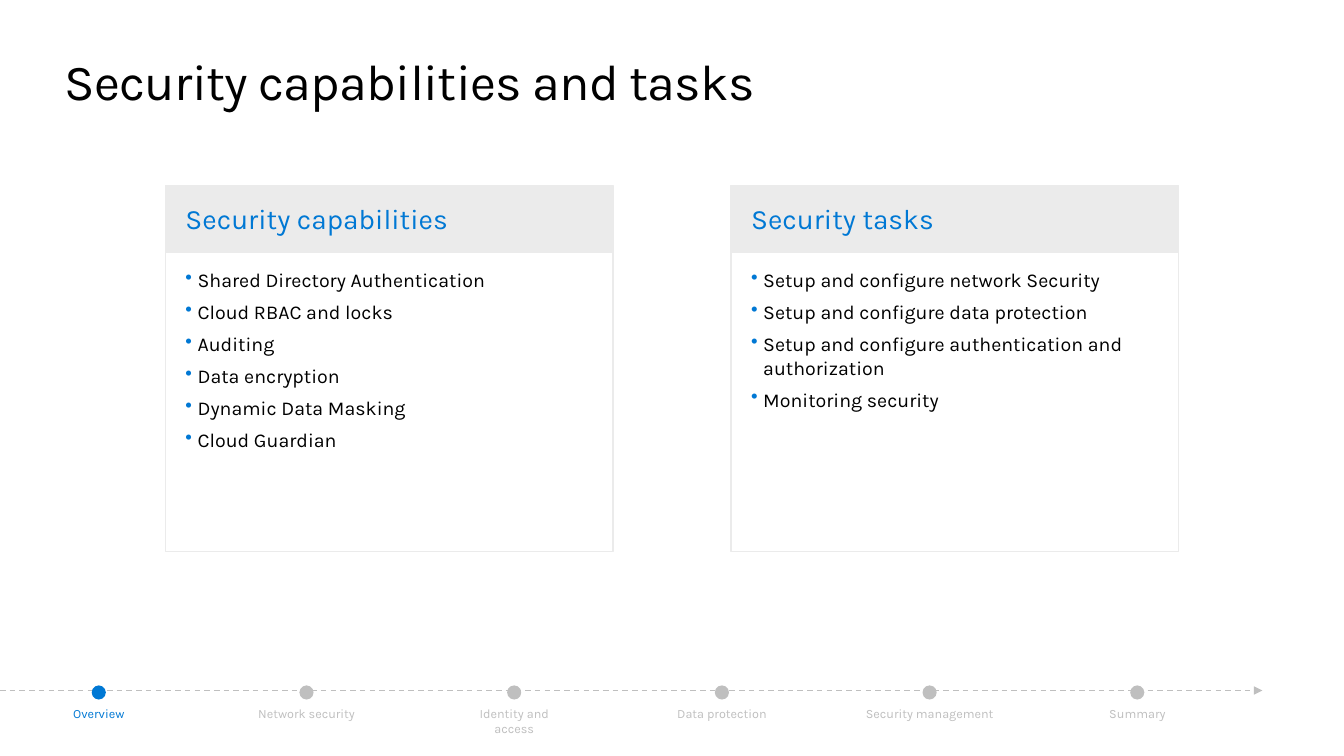
from dataclasses import dataclass

from lxml import etree
from pptx import Presentation, util as u
from pptx.dml.color import RGBColor
from pptx.enum import dml, shapes, text
from pptx.oxml.ns import qn

BLUE, GREY, PALE = "0078D4", "BFBFBF", "EBEBEB"
BLACK, WHITE = "000000", "FFFFFF"
FONT = "Karla"


@dataclass
class Card:
    left: float
    head: str
    items: list[str]


@dataclass
class Step:
    label: str
    width: float = 1.08
    color: str = GREY


CARDS = [
    Card(1.64, "Security capabilities", [
        "Shared Directory Authentication",
        "Cloud RBAC and locks",
        "Auditing",
        "Data encryption",
        "Dynamic Data Masking",
        "Cloud Guardian",
    ]),
    Card(7.25, "Security tasks", [
        "Setup and configure network Security",
        "Setup and configure data protection",
        "Setup and configure authentication and authorization",
        "Monitoring security",
    ]),
]
STEPS = [
    Step("Overview", color=BLUE),
    Step("Network security"),
    Step("Identity and access"),
    Step("Data protection"),
    Step("Security management", 1.94),
    Step("Summary"),
]
FIRST, PITCH, DOT = 0.98, 2.06, 0.14
CARD_W = 4.44


def rgb(code: str) -> RGBColor:
    return RGBColor.from_string(code)


def box(left: float, top: float, width: float, height: float) -> tuple:
    return tuple(u.Inches(v) for v in (left, top, width, height))


def frame(shape, pad_x: float = 0, pad_y: float = 0):
    """Set wrapping and insets, and return the text frame."""
    body = shape.text_frame
    body.word_wrap = True
    body.margin_left = body.margin_right = u.Inches(pad_x)
    body.margin_top = body.margin_bottom = u.Inches(pad_y)
    body.vertical_anchor = text.MSO_ANCHOR.TOP
    return body


def write(para, words: str, size: float, color: str,
          align=text.PP_ALIGN.LEFT):
    para.alignment = align
    run = para.add_run()
    run.text = words
    run.font.name = FONT
    run.font.size = u.Pt(size)
    run.font.color.rgb = rgb(color)
    return run


def solid(slide, kind, place: tuple, fill: str, line: str = ""):
    shape = slide.shapes.add_shape(kind, *place)
    shape.shadow.inherit = False
    shape.fill.solid()
    shape.fill.fore_color.rgb = rgb(fill)
    if line:
        shape.line.color.rgb = rgb(line)
        shape.line.width = u.Pt(1)
    else:
        shape.line.fill.background()
    return shape


def bullet(para) -> None:
    props = para._p.get_or_add_pPr()
    props.set("marL", str(u.Inches(0.12)))
    props.set("indent", str(-u.Inches(0.12)))
    para.space_after = u.Pt(6)
    tint = etree.SubElement(props, qn("a:buClr"))
    etree.SubElement(tint, qn("a:srgbClr"), val=BLUE)
    etree.SubElement(props, qn("a:buChar"), char="•")


def draw_card(slide, card: Card) -> None:
    rect = shapes.MSO_SHAPE.RECTANGLE
    head = solid(slide, rect, box(card.left, 1.84, CARD_W, 0.66), PALE, PALE)
    body = frame(head, 0.2, 0.16)
    body.vertical_anchor = text.MSO_ANCHOR.MIDDLE
    write(body.paragraphs[0], card.head, 20, BLUE)

    panel = solid(slide, rect, box(card.left, 2.5, CARD_W, 2.97), WHITE, PALE)
    body = frame(panel, 0.2, 0.16)
    for i, item in enumerate(card.items):
        para = body.add_paragraph() if i else body.paragraphs[0]
        bullet(para)
        write(para, item, 14, BLACK)


def draw_axis(slide) -> None:
    axis = slide.shapes.add_connector(
        shapes.MSO_CONNECTOR.STRAIGHT, *box(0, 6.85, 12.52, 6.85))
    axis.line.color.rgb = rgb(GREY)
    axis.line.width = u.Pt(1)
    axis.line.dash_style = dml.MSO_LINE.DASH
    etree.SubElement(axis.line._get_or_add_ln(), qn("a:tailEnd"),
                     type="triangle")
    etree.SubElement(axis._element.spPr, qn("a:effectLst"))


def draw_step(slide, step: Step, mid: float) -> None:
    solid(slide, shapes.MSO_SHAPE.OVAL,
          box(mid - DOT / 2, 6.8, DOT, DOT), step.color)
    label = slide.shapes.add_textbox(
        *box(mid - step.width / 2, 7, step.width, 0.15))
    write(frame(label).paragraphs[0], step.label, 9, step.color,
          text.PP_ALIGN.CENTER)


def main() -> None:
    deck = Presentation()
    deck.slide_width, deck.slide_height = u.Inches(13.33), u.Inches(7.5)
    slide = deck.slides.add_slide(deck.slide_layouts[6])

    title = slide.shapes.add_textbox(*box(0.64, 0.5, 12.05, 0.61))
    run = write(frame(title).paragraphs[0],
                "Security capabilities and tasks", 36, BLACK)
    run.font._element.set("spc", "-50")

    for card in CARDS:
        draw_card(slide, card)
    draw_axis(slide)
    for i, step in enumerate(STEPS):
        draw_step(slide, step, FIRST + i * PITCH)
    deck.save("out.pptx")


if __name__ == "__main__":
    main()
